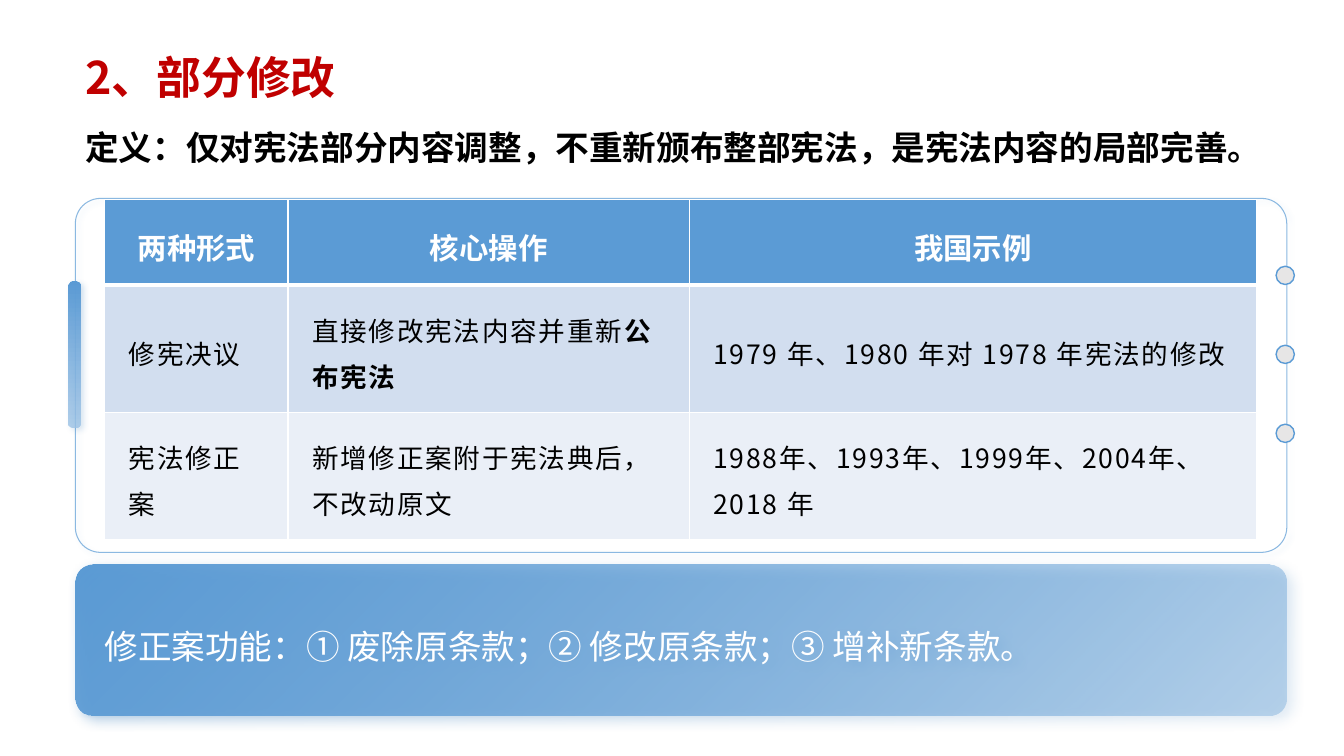
from dataclasses import dataclass
from typing import Optional

import pptx
import pptx.dml.color
import pptx.enum.shapes
import pptx.enum.text
import pptx.oxml
import pptx.oxml.ns
import pptx.util
from pptx.util import Cm

FONT = "Noto Sans CJK SC"
COLORS = {
    "red": "C00000",
    "black": "000000",
    "white": "FFFFFF",
    "blue": "5B9BD5",
    "light_blue": "9DC3E6",
    "deep_blue": "2E75B6",
    "grey": "E7E6E6",
    "band_dark": "D2DEEF",
    "band_light": "EAEFF7",
}
NAMESPACE = pptx.oxml.ns.nsdecls("a")
ROUNDED = pptx.enum.shapes.MSO_SHAPE.ROUNDED_RECTANGLE
OVAL = pptx.enum.shapes.MSO_SHAPE.OVAL
MIDDLE = pptx.enum.text.MSO_ANCHOR.MIDDLE


@dataclass
class Gradient:
    start: str
    start_alpha: int
    end: str
    angle: int


@dataclass
class Shadow:
    color: str
    alpha: int
    blur: float
    distance: float


@dataclass
class Panel:
    left: float
    top: float
    width: float
    height: float
    kind: int = ROUNDED
    corner: Optional[float] = None
    fill: Optional[str] = None
    gradient: Optional[Gradient] = None
    line: Optional[str] = None
    line_width: float = 1
    line_alpha: int = 100
    shadow: Optional[Shadow] = None


@dataclass
class Piece:
    text: str
    size: float
    color: str
    bold: bool = False
    spacing: float = 0


def rgb(name: str) -> pptx.dml.color.RGBColor:
    return pptx.dml.color.RGBColor.from_string(COLORS[name])


def color_xml(name: str, alpha: int = 100) -> str:
    return f'<a:srgbClr {NAMESPACE} val="{COLORS[name]}"><a:alpha val="{alpha * 1000}"/></a:srgbClr>'


def add_piece(paragraph, piece: Piece) -> None:
    run = paragraph.add_run()
    run.text = piece.text
    run.font.size = pptx.util.Pt(piece.size)
    run.font.bold = piece.bold
    run.font.color.rgb = rgb(piece.color)
    run.font.name = FONT
    properties = run.font._element
    properties.append(pptx.oxml.parse_xml(f'<a:ea {NAMESPACE} typeface="{FONT}"/>'))
    if piece.spacing:
        properties.set("spc", str(round(piece.spacing * 100)))


def add_panel(slide, panel: Panel):
    shape = slide.shapes.add_shape(
        panel.kind, Cm(panel.left), Cm(panel.top), Cm(panel.width), Cm(panel.height))
    shape.shadow.inherit = False
    if panel.corner is not None:
        shape.adjustments[0] = panel.corner
    if panel.gradient:
        gradient = panel.gradient
        shape.fill.gradient()
        shape.fill.gradient_angle = 360 - gradient.angle
        stops = shape.fill.gradient_stops
        stops[0].color.rgb, stops[1].color.rgb = rgb(gradient.start), rgb(gradient.end)
        stops[0].position, stops[1].position = 0, 1
        first_stop = stops[0]._gs
        first_stop.replace(first_stop[0], pptx.oxml.parse_xml(
            color_xml(gradient.start, gradient.start_alpha)))
    elif panel.fill:
        shape.fill.solid()
        shape.fill.fore_color.rgb = rgb(panel.fill)
    else:
        shape.fill.background()
    if panel.line:
        shape.line.width = pptx.util.Pt(panel.line_width)
        shape.line.color.rgb = rgb(panel.line)
        line_fill = shape.line._ln[0]
        line_fill.replace(line_fill[0], pptx.oxml.parse_xml(
            color_xml(panel.line, panel.line_alpha)))
    else:
        shape.line.fill.background()
    if panel.shadow:
        shadow = panel.shadow
        effects = shape._element.spPr.find(pptx.oxml.ns.qn("a:effectLst"))
        effects.append(pptx.oxml.parse_xml(
            f'<a:outerShdw {NAMESPACE} blurRad="{pptx.util.Pt(shadow.blur)}" '
            f'dist="{pptx.util.Pt(shadow.distance)}" dir="2700000" algn="tl" rotWithShape="0">'
            f'{color_xml(shadow.color, shadow.alpha)}</a:outerShdw>'))
    return shape


def set_borders(cell, widths: dict[str, float]) -> None:
    for side, width in widths.items():
        cell._tc.get_or_add_tcPr().append(pptx.oxml.parse_xml(
            f'<a:ln{side} {NAMESPACE} w="{pptx.util.Pt(width)}"><a:solidFill>'
            f'{color_xml("white")}</a:solidFill></a:ln{side}>'))


def add_form_table(slide) -> None:
    columns, heights = [4.62, 10.11, 14.3], [2.16, 3.2, 3.2]
    fills = ["blue", "band_dark", "band_light"]
    # Each cell lists its text parts; every second part is bold in the body
    rows = [
        [["两种形式"], ["核心操作"], ["我国示例"]],
        [["修宪决议"], ["直接修改宪法内容并重新", "公布宪法"],
         ["1979 年、1980 年对 1978 年宪法的修改"]],
        [["宪法修正案"], ["新增修正案附于宪法典后，不改动原文"],
         ["1988年、1993年、1999年、2004年、2018 年"]],
    ]
    table = slide.shapes.add_table(
        len(rows), len(columns), Cm(2.64), Cm(5.03), Cm(sum(columns)), Cm(sum(heights))).table
    for column, width in zip(table.columns, columns):
        column.width = Cm(width)
    for row_index, (row, height) in enumerate(zip(rows, heights)):
        table.rows[row_index].height = Cm(height)
        header = row_index == 0
        for column_index, parts in enumerate(row):
            cell = table.cell(row_index, column_index)
            set_borders(cell, {"L": 1, "R": 1, "T": 3 if row_index == 1 else 1,
                               "B": 3 if header else 1})
            cell.fill.solid()
            cell.fill.fore_color.rgb = rgb(fills[row_index])
            cell.vertical_anchor = MIDDLE
            cell.margin_left = cell.margin_right = Cm(0.61)
            cell.margin_top = cell.margin_bottom = Cm(0.38)
            paragraph = cell.text_frame.paragraphs[0]
            paragraph.line_spacing = 1.2
            if header:
                paragraph.alignment = pptx.enum.text.PP_ALIGN.CENTER
            for part_index, text in enumerate(parts):
                add_piece(paragraph, Piece(text, 21, "white", True) if header
                          else Piece(text, 19, "black", part_index == 1, 1.3))


def add_heading(slide) -> None:
    frame = slide.shapes.add_textbox(Cm(1.9), Cm(0.48), Cm(30.53), Cm(4.67)).text_frame
    frame.word_wrap = True
    frame.vertical_anchor = MIDDLE
    title = frame.paragraphs[0]
    add_piece(title, Piece("2、部分修改", 32, "red", True))
    definition = frame.add_paragraph()
    definition.space_before = pptx.util.Pt(20)
    add_piece(definition, Piece(
        "定义：仅对宪法部分内容调整，不重新颁布整部宪法，是宪法内容的局部完善。", 24, "black", True))
    title.line_spacing = definition.line_spacing = 0.9


def add_banner(slide) -> None:
    banner = add_panel(slide, Panel(
        1.9, 14.22, 30.53, 3.81, corner=0.113, gradient=Gradient("blue", 34, "blue", 225),
        shadow=Shadow("deep_blue", 40, 9, 4)))
    frame = banner.text_frame
    frame.word_wrap = True
    frame.vertical_anchor = MIDDLE
    frame.margin_left = frame.margin_right = Cm(0.61)
    paragraph = frame.paragraphs[0]
    paragraph.alignment = pptx.enum.text.PP_ALIGN.LEFT
    paragraph.line_spacing = 1.3
    add_piece(paragraph, Piece("修正案功能：① 废除原条款；② 修改原条款；③ 增补新条款。", 24, "white"))


def main() -> None:
    presentation = pptx.Presentation()
    presentation.slide_width, presentation.slide_height = Cm(33.87), Cm(19.05)
    slide = presentation.slides.add_slide(presentation.slide_layouts[6])
    add_banner(slide)
    add_heading(slide)
    # Frame around the table, with its dots and side bar
    add_panel(slide, Panel(1.9, 5, 30.53, 8.92, corner=0.071, line="blue", line_width=0.75,
                           line_alpha=70, shadow=Shadow("blue", 21, 3, 3)))
    for index in range(3):
        add_panel(slide, Panel(32.16, 6.71 + 1.99 * index, 0.46, 0.46, OVAL,
                               fill="grey", line="blue"))
    add_panel(slide, Panel(1.73, 7.09, 0.31, 3.68, corner=0.308,
                           gradient=Gradient("light_blue", 80, "blue", 270),
                           shadow=Shadow("deep_blue", 20, 4, 3)))
    add_form_table(slide)
    presentation.save("out.pptx")


if __name__ == "__main__":
    main()
